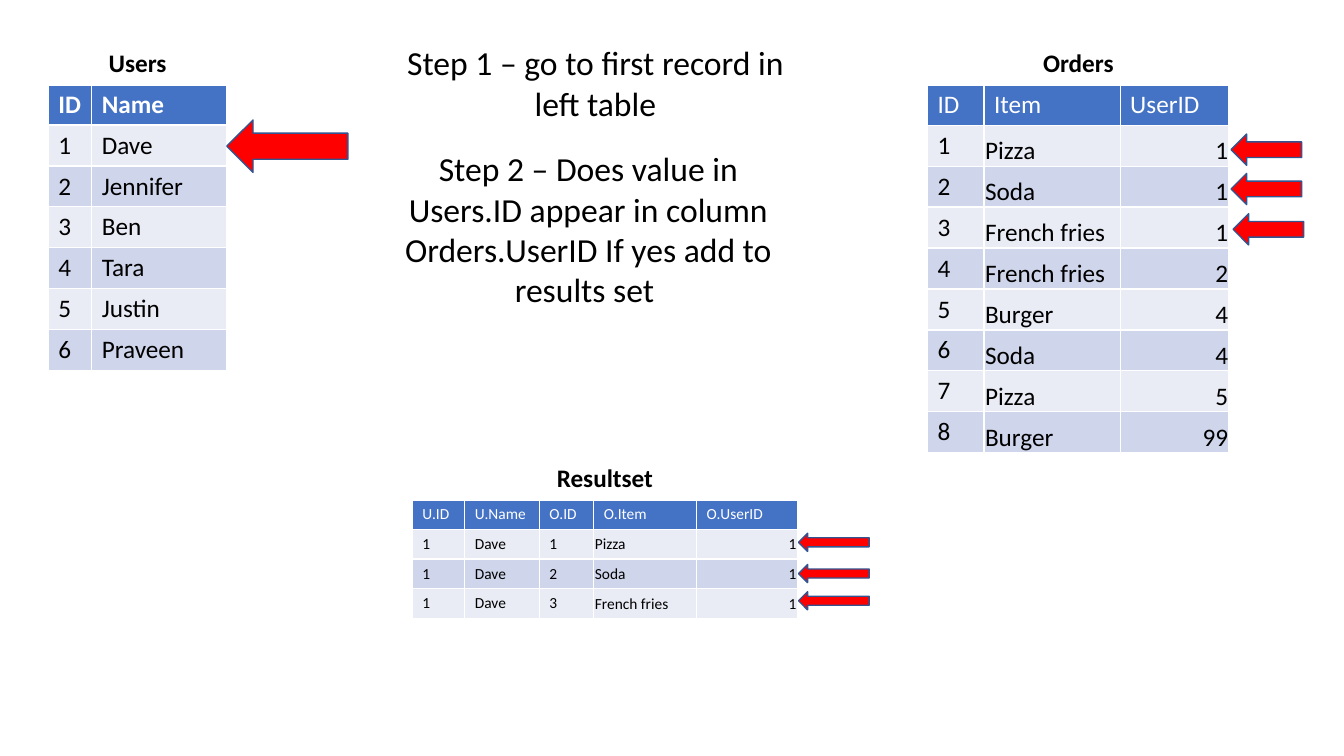
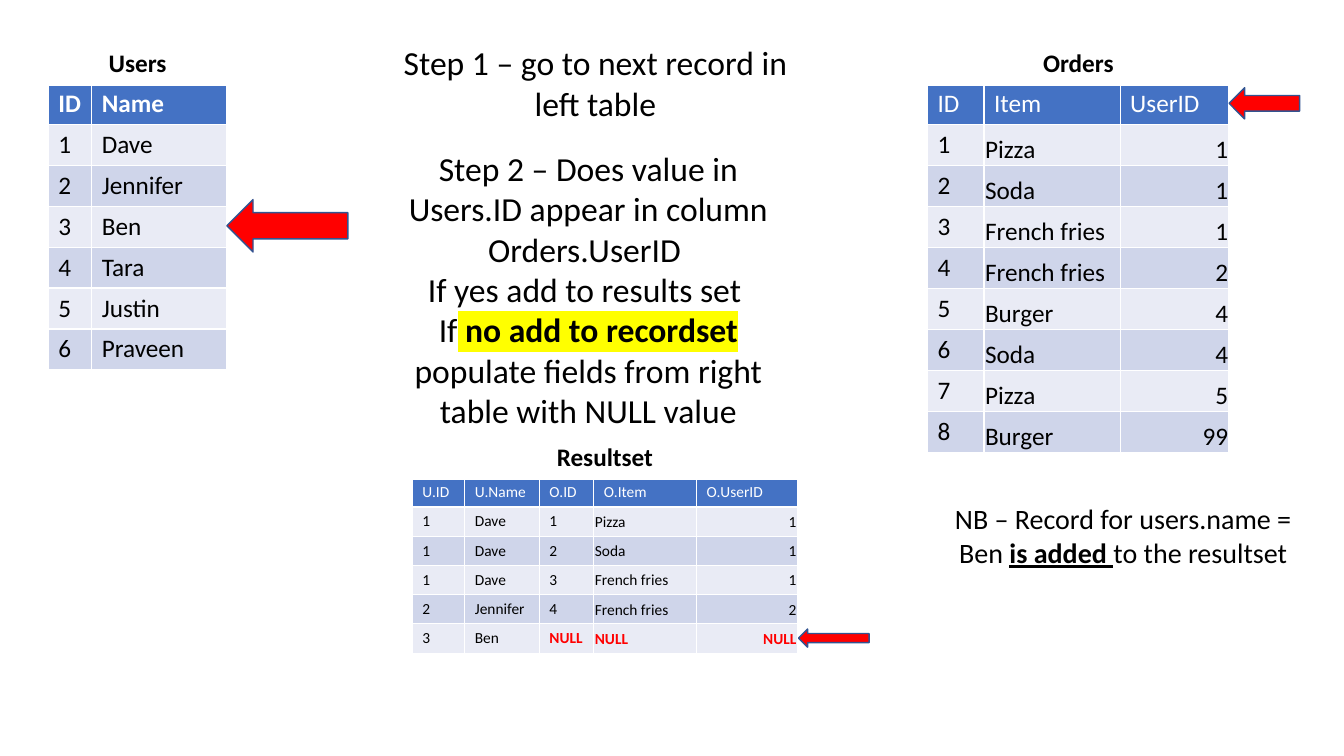
from lxml.etree import SubElement
from pptx import Presentation
from pptx.dml.color import RGBColor
from pptx.enum.shapes import MSO_SHAPE
from pptx.enum.text import MSO_ANCHOR as ANCHOR, PP_ALIGN as ALIGN
from pptx.oxml import parse_xml
from pptx.oxml.ns import qn
from pptx.util import Inches, Pt

FONT = "Calibri"
WHITE, BLACK, RED = "FFFFFF", "000000", "FF0000"
HEADER, BANDS = "4472C4", ("E9EBF5", "CFD5EA")
ARROW_LINE, MARKER = "325491", "FFFF00"
DRAWING_NS = "http://schemas.openxmlformats.org/drawingml/2006/main"
TITLE_HEIGHT = 0.4

USERS = dict(
    title="Users", at=(0.48, 0.43), height=3.24, columns=(0.43, 1.34), bold_header=True,
    rows=[("ID", "Name"), ("1", "Dave"), ("2", "Jennifer"), ("3", "Ben"),
          ("4", "Tara"), ("5", "Justin"), ("6", "Praveen")])
ORDERS = dict(
    title="Orders", at=(9.2, 0.43), height=4.06, columns=(0.56, 1.35, 1.08),
    tight_from=1, tight_anchor=ANCHOR.BOTTOM,
    rows=[("ID", "Item", "UserID"), ("1", "Pizza", "1"), ("2", "Soda", "1"),
          ("3", "French fries", "1"), ("4", "French fries", "2"), ("5", "Burger", "4"),
          ("6", "Soda", "4"), ("7", "Pizza", "5"), ("8", "Burger", "99")])
RESULTSET = dict(
    title="Resultset", columns=(0.52, 0.74, 0.54, 1.02, 1), size=11,
    anchor=ANCHOR.MIDDLE, tight_from=3, tight_anchor=ANCHOR.MIDDLE)
DAVE_ROWS = [("U.ID", "U.Name", "O.ID", "O.Item", "O.UserID"),
             ("1", "Dave", "1", "Pizza", "1"),
             ("1", "Dave", "2", "Soda", "1"),
             ("1", "Dave", "3", "French fries", "1")]
UNMATCHED_ROWS = [("2", "Jennifer", "4", "French fries", "2"),
                  ("3", "Ben", "NULL", "NULL", "NULL")]

QUESTION = "Step 2 – Does value in Users.ID appear in column"
STEP_1, STEP_2 = (3.82, 0.37, 4.17, 0.91), (3.75, 1.42, 4.17)
USER_ARROW, ORDER_ARROW, RESULT_ARROW = (1.2, 0.52), (0.7, 0.31), (0.7, 0.18)

SLIDES = [
    dict(
        result=dict(at=(4.09, 4.55), height=1.58, rows=DAVE_ROWS),
        notes=[
            (STEP_1, 24, ["Step 1 – go to first record in left table"]),
            ((*STEP_2, 1.72), 24, [QUESTION, "Orders.UserID If yes add to results set "]),
        ],
        arrows=[
            (USER_ARROW, [(2.25, 1.19)]),
            (ORDER_ARROW, [(12.21, 1.33), (12.21, 1.72), (12.23, 2.12)]),
            (RESULT_ARROW, [(7.92, 5.29), (7.92, 5.6), (7.92, 5.87)]),
        ]),
    dict(
        result=dict(at=(4.09, 4.34), height=2.14, rows=DAVE_ROWS + UNMATCHED_ROWS),
        notes=[
            (STEP_1, 24, ["Step 1 – go to next record in left table"]),
            ((*STEP_2, 2.93), 24, [
                QUESTION, "Orders.UserID ", "If yes add to results set ",
                [("If", {}), (" ", dict(highlight=MARKER)),
                 ("no add to recordset", dict(bold=True, highlight=MARKER)),
                 ("\n", {}),
                 ("populate fields from right table with NULL value", {})]]),
            ((9.2, 4.93, 3.88, 0.77), 20, [
                [("NB – Record for users.name = Ben ", {}),
                 ("is added ", dict(bold=True, underline=True)),
                 ("to the resultset", {})]]),
        ],
        arrows=[
            (USER_ARROW, [(2.25, 1.98)]),
            (ORDER_ARROW, [(12.19, 0.87)]),
            (RESULT_ARROW, [(7.92, 6.24)]),
        ]),
]


def rgb(value):
    return RGBColor.from_string(value)


def format_run(run, size, color, bold=False, underline=False, highlight=None):
    font = run.font
    font.name, font.size, font.bold, font.underline = FONT, Pt(size), bold, underline
    font.color.rgb = rgb(color)
    if highlight:
        marker = parse_xml(f'<a:highlight xmlns:a="{DRAWING_NS}">'
                           f'<a:srgbClr val="{highlight}"/></a:highlight>')
        run._r.rPr.find(qn("a:solidFill")).addnext(marker)


def write(frame, paragraphs, align=ALIGN.LEFT, **style):
    for index, content in enumerate(paragraphs):
        paragraph = frame.add_paragraph() if index else frame.paragraphs[0]
        paragraph.alignment = align
        pieces = [(content, {})] if isinstance(content, str) else content
        for text, changes in pieces:
            if text == "\n":
                paragraph.add_line_break()
                continue
            run = paragraph.add_run()
            run.text = text
            format_run(run, **{**style, **changes})


def style_cell(cell, fill, bottom=1):
    properties = cell._tc.get_or_add_tcPr()
    for side, width in (("L", 1), ("R", 1), ("T", 1), ("B", bottom)):
        border = SubElement(properties, qn(f"a:ln{side}"), w=str(Pt(width)))
        SubElement(SubElement(border, qn("a:solidFill")), qn("a:srgbClr"), val=WHITE)
    cell.fill.solid()
    cell.fill.fore_color.rgb = rgb(fill)


def add_data_table(slide, title, at, height, columns, rows, size=18, bold_header=False,
                   anchor=ANCHOR.TOP, tight_from=99, tight_anchor=None):
    table = slide.shapes.add_table(
        len(rows) + 1, len(columns), *map(Inches, (*at, sum(columns), height))).table
    for column, width in zip(table.columns, columns):
        column.width = Inches(width)
    for index, row in enumerate(table.rows):
        row.height = Inches((height - TITLE_HEIGHT) / len(rows) if index else TITLE_HEIGHT)

    for cell in table.rows[0].cells:
        style_cell(cell, WHITE, bottom=3)
    heading = table.cell(0, 0)
    heading.merge(table.cell(0, len(columns) - 1))
    write(heading.text_frame, [title], align=ALIGN.CENTER, size=18, color=BLACK, bold=True)

    for r, values in enumerate(rows):
        for c, value in enumerate(values):
            cell = table.cell(r + 1, c)
            style_cell(cell, BANDS[(r - 1) % 2] if r else HEADER)
            cell.vertical_anchor = anchor
            align = ALIGN.LEFT
            if r and c >= tight_from:
                cell.vertical_anchor = tight_anchor
                cell.margin_left = cell.margin_right = cell.margin_top = Inches(0.01)
                cell.margin_bottom = 0
                align = ALIGN.RIGHT if c == len(columns) - 1 else ALIGN.LEFT
            missing = value == "NULL"
            color = RED if missing else BLACK if r else WHITE
            write(cell.text_frame, [value], align=align, size=size, color=color,
                  bold=missing or (bold_header and r == 0))


def add_note(slide, area, size, paragraphs):
    frame = slide.shapes.add_textbox(*map(Inches, area)).text_frame
    frame.word_wrap = True
    write(frame, paragraphs, align=ALIGN.CENTER, size=size, color=BLACK)


def add_arrow(slide, at, extent):
    arrow = slide.shapes.add_shape(MSO_SHAPE.LEFT_ARROW, *map(Inches, (*at, *extent)))
    arrow.shadow.inherit = False
    arrow.fill.solid()
    arrow.fill.fore_color.rgb = rgb(RED)
    arrow.line.color.rgb = rgb(ARROW_LINE)
    arrow.line.width = Pt(1)


def main():
    deck = Presentation()
    deck.slide_width, deck.slide_height = Inches(13.33), Inches(7.5)
    for content in SLIDES:
        slide = deck.slides.add_slide(deck.slide_layouts[6])
        for table in (USERS, ORDERS, {**RESULTSET, **content["result"]}):
            add_data_table(slide, **table)
        for note in content["notes"]:
            add_note(slide, *note)
        for extent, places in content["arrows"]:
            for at in places:
                add_arrow(slide, at, extent)
    deck.save("out.pptx")


if __name__ == "__main__":
    main()
